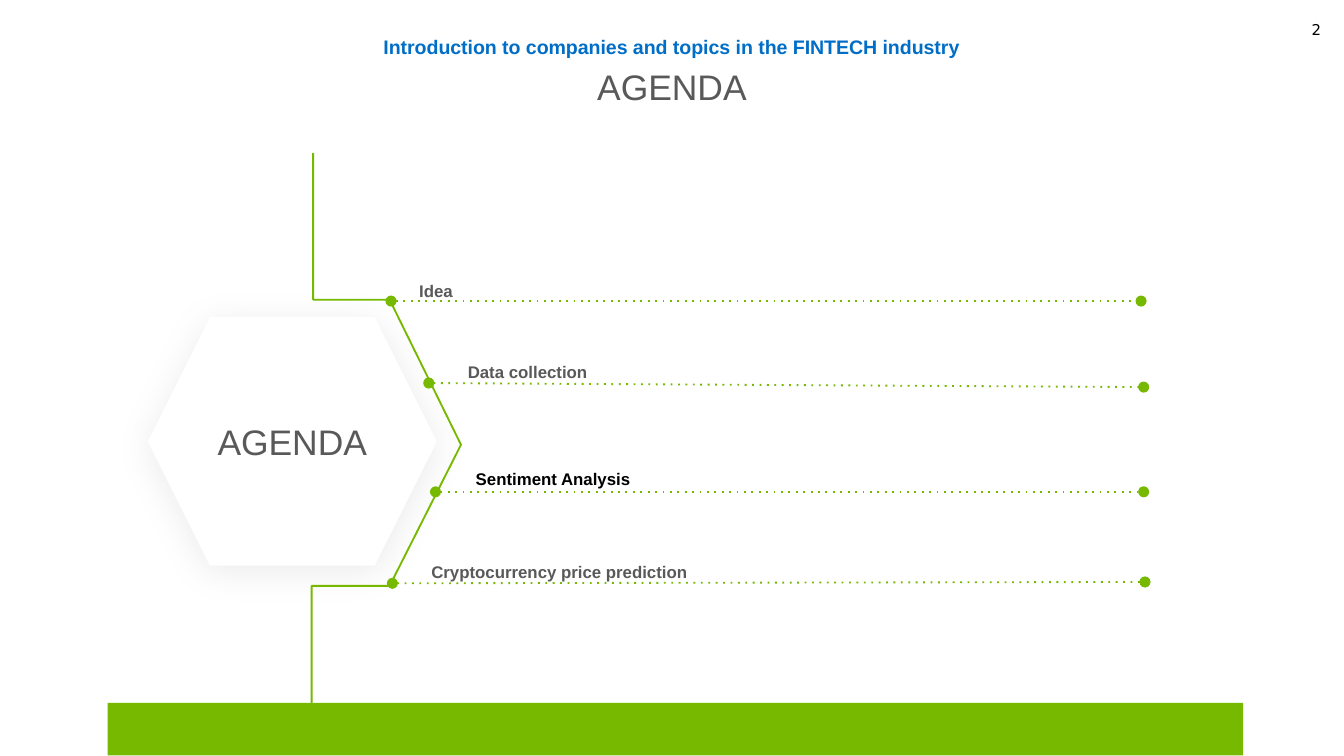
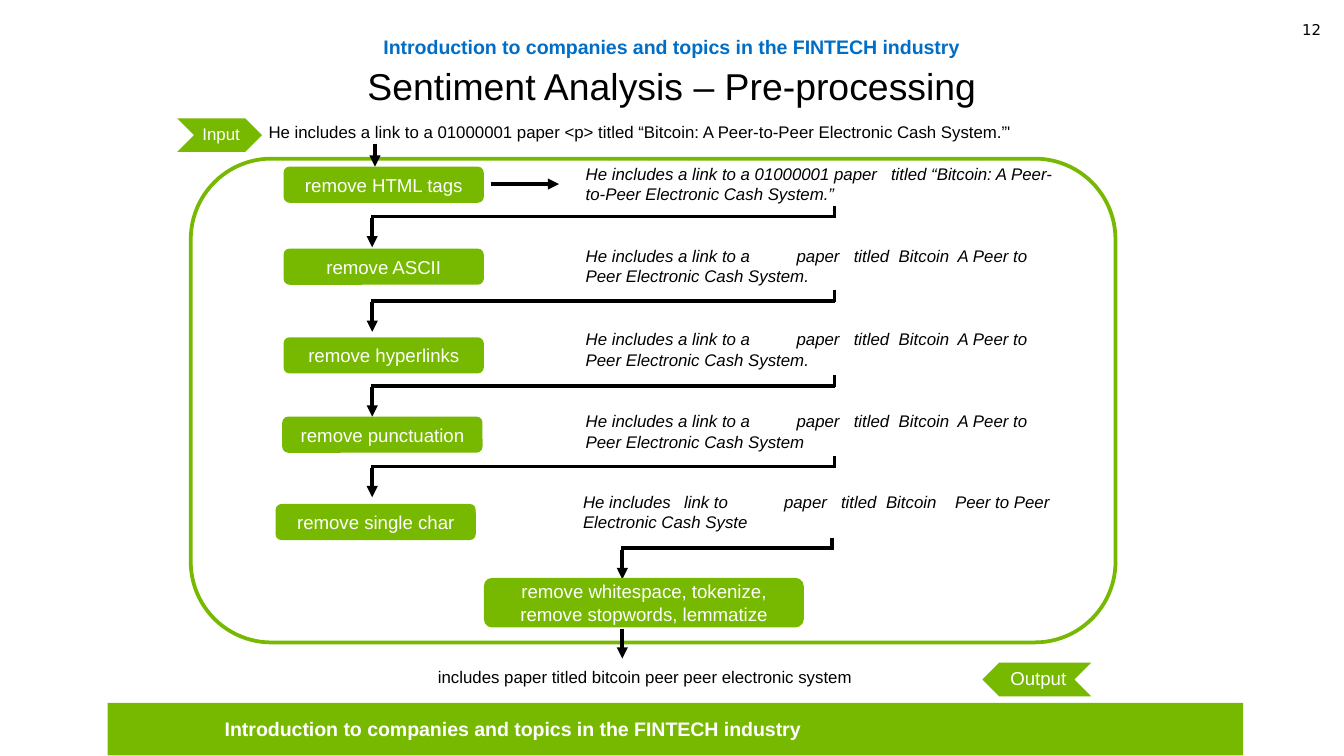
from dataclasses import dataclass

import pptx
import pptx.dml.color
import pptx.enum.shapes
import pptx.enum.text
import pptx.oxml.ns
import pptx.util
from lxml import etree

Pt = pptx.util.Pt
qn = pptx.oxml.ns.qn
KIND = pptx.enum.shapes.MSO_SHAPE
ALIGN = pptx.enum.text.PP_ALIGN
ANCHOR = pptx.enum.text.MSO_ANCHOR
FIT = pptx.enum.text.MSO_AUTO_SIZE


@dataclass(frozen=True)
class Theme:
    """Colours, fonts and type sizes of the deck."""

    green: str = "76B900"
    blue: str = "006EC7"
    grey: str = "595959"
    black: str = "000000"
    white: str = "FFFFFF"
    font: str = "Arial"
    digits: str = "DejaVu Sans"
    title: float = 20
    agenda: float = 19
    header: float = 10.5
    step: float = 10
    body: float = 9
    number: float = 8


T = Theme()
HEADER = "Introduction to companies and topics in the FINTECH industry"
FLAT = (0, 0, 0, 0)
INSET = (7.2, 3.6, 7.2, 3.6)
SNUG = (2.2, 1.4, 0.7, 1.4)

TOPICS = [
    ("Idea", T.grey, (209.5, 161.3, 611.3, 161.3), (224.6, 150.5, 414)),
    ("Data collection", T.grey, (229.7, 205.2, 612.7, 207.4), (250.6, 193.7, 363)),
    ("Sentiment Analysis", T.black, (233.3, 263.5, 612.7, 263.5), (254.9, 251.3, 360)),
    ("Cryptocurrency price prediction", T.grey, (210.2, 312.5, 613.4, 311.8),
     (231.1, 301, 341.3)),
]

CLEAN = "He includes a link to a\tpaper\ttitled\tBitcoin\tA Peer to Peer Electronic Cash System"
STOPS = (113, 143.6, 167.7, 199.3)
STEPS = [
    ("remove HTML tags", (151.9, 89.3),
     "He includes a link to a 01000001 paper\ttitled “Bitcoin: A Peer-to-Peer "
     "Electronic Cash System.”", (306.7, 84.2), (163.6,), (110.2, 447.1, 199.4)),
    ("remove ASCII", (151.9, 133.2), CLEAN + ".", (306.7, 128.2), STOPS,
     (155.5, 447.1, 199.4)),
    ("remove hyperlinks", (151.9, 180.7), CLEAN + ".", (306.7, 172.8), STOPS,
     (200.9, 447.1, 199.4)),
    ("remove punctuation", (151.2, 223.2), CLEAN, (306.7, 216.7), STOPS,
     (244.1, 447.1, 199.4)),
    ("remove single char", (147.6, 270),
     "He includes\tlink to\tpaper\ttitled\tBitcoin\tPeer to Peer Electronic Cash Syste",
     (305.3, 259.9), (54.1, 107.7, 138.2, 162.3, 199.3), (288, 445.7, 333.4)),
]


def rgb(code):
    """Turn a hex code into a colour."""
    return pptx.dml.color.RGBColor.from_string(code)


def write(shape, text, size, color, align=ALIGN.LEFT, bold=False, slant=False,
          font=T.font, inset=FLAT, anchor=ANCHOR.MIDDLE, grow=False, wrap=True,
          space=None, stops=()):
    """Put one formatted paragraph into a shape."""
    frame = shape.text_frame
    frame.word_wrap = wrap
    frame.auto_size = FIT.SHAPE_TO_FIT_TEXT if grow else FIT.NONE
    frame.vertical_anchor = anchor
    (frame.margin_left, frame.margin_top,
     frame.margin_right, frame.margin_bottom) = map(Pt, inset)
    para = frame.paragraphs[0]
    para.alignment = align
    if space:
        para.line_spacing = space
    if stops:
        tabs = etree.SubElement(para._p.get_or_add_pPr(), qn("a:tabLst"))
        for stop in stops:
            etree.SubElement(tabs, qn("a:tab"), pos=str(int(Pt(stop))), algn="l")
    run = para.add_run()
    run.text = text
    run.font.name = font
    run.font.size = Pt(size)
    run.font.bold = bold
    run.font.italic = slant
    run.font.color.rgb = rgb(color)


def label(slide, box, text, size, color, **style):
    """Add a text box."""
    write(slide.shapes.add_textbox(*map(Pt, box)), text, size, color, **style)


def block(slide, kind, box, fill=T.green, edge=None):
    """Add a filled preset shape."""
    shape = slide.shapes.add_shape(kind, *map(Pt, box))
    shape.shadow.inherit = False
    shape.fill.solid()
    shape.fill.fore_color.rgb = rgb(fill)
    if edge:
        shape.line.color.rgb = rgb(edge)
        shape.line.width = Pt(2)
    else:
        shape.line.fill.background()
    return shape


def glow(shape):
    """Give a shape a soft shadow below it."""
    effects = shape.element.spPr.find(qn("a:effectLst"))
    shade = etree.SubElement(effects, qn("a:outerShdw"), blurRad=str(int(Pt(20))),
                             dist=str(int(Pt(3))), dir="5400000", algn="ctr",
                             rotWithShape="0")
    color = etree.SubElement(shade, qn("a:srgbClr"), val=T.black)
    etree.SubElement(color, qn("a:alpha"), val="7000")


def line(slide, ends, color=T.black, width=2, dash=None, head=None, tail=None):
    """Add a straight line with optional dash and ends."""
    link = slide.shapes.add_connector(
        pptx.enum.shapes.MSO_CONNECTOR.STRAIGHT, *map(Pt, ends))
    link.line.color.rgb = rgb(color)
    link.line.width = Pt(width)
    props = link.element.spPr
    stroke = props.find(qn("a:ln"))
    if dash:
        etree.SubElement(stroke, qn("a:prstDash"), val=dash)
    for tag, kind in (("a:headEnd", head), ("a:tailEnd", tail)):
        if kind:
            etree.SubElement(stroke, qn(tag), type=kind)
    etree.SubElement(props, qn("a:effectLst"))


def arrow(slide, *ends):
    """Add a black arrow."""
    line(slide, ends, tail="triangle")


def elbow(slide, top, right, left):
    """Lead from a result down and back to the next step."""
    line(slide, (right, top, right, top + 6.5))
    line(slide, (left - 0.7, top + 5.8, right, top + 5.8))
    arrow(slide, left, top + 6.5, left, top + 22.3)


def trace(slide, points):
    """Draw an open green outline."""
    start, *rest = [tuple(map(Pt, point)) for point in points]
    pen = slide.shapes.build_freeform(*start)
    pen.add_line_segments(rest, close=False)
    shape = pen.convert_to_shape()
    shape.shadow.inherit = False
    shape.fill.background()
    shape.line.color.rgb = rgb(T.green)
    shape.line.width = Pt(1)


def step(slide, box, text):
    """Add a rounded green step."""
    shape = block(slide, KIND.ROUNDED_RECTANGLE, box)
    write(shape, text, T.step, T.white, align=ALIGN.CENTER, inset=INSET)


def tag(slide, box, text, size, turn=0):
    """Add a chevron with its label."""
    block(slide, KIND.CHEVRON, box).rotation = turn
    left, top, width, height = box
    pad = width * 0.195
    label(slide, (left + pad, top, width - 2 * pad, height), text, size, T.white,
          align=ALIGN.CENTER, inset=SNUG, space=0.9)


def start(deck, text, size, color, box):
    """Add a slide with its title."""
    slide = deck.slides.add_slide(deck.slide_layouts[5])
    title = slide.shapes.title
    title.left, title.top, title.width, title.height = map(Pt, box)
    write(title, text, size, color, align=ALIGN.CENTER, grow=True, wrap=False)
    return slide


def frame(slide, number):
    """Add the band, page number and header."""
    block(slide, KIND.RECTANGLE, (57.6, 376.6, 608.4, 28.1))
    label(slide, (660.2, 5, 54.7, 21.6), number, T.number, T.black,
          align=ALIGN.RIGHT, font=T.digits, inset=INSET)
    label(slide, (180, 18.7, 360, 13), HEADER, T.header, T.blue,
          align=ALIGN.CENTER, bold=True, grow=True)


def agenda(deck):
    """Build the agenda slide."""
    slide = start(deck, "AGENDA", T.agenda, T.grey, (319.3, 34.6, 81.4, 23))
    block(slide, KIND.HEXAGON, (67.7, 159.8, 177.8, 153.4), T.white)
    badge = block(slide, KIND.HEXAGON, (79.2, 169.9, 154.8, 133.2), T.white)
    glow(badge)
    write(badge, "AGENDA", T.agenda, T.grey, align=ALIGN.CENTER, inset=INSET)
    trace(slide, [(167.8, 82.1), (167.8, 160.6), (208.8, 160.6), (247, 238.3),
                  (208.8, 313.9), (167, 313.9), (167, 391.7)])
    for text, color, ends, place in TOPICS:
        line(slide, ends, T.green, 1, "dot", "oval", "oval")
        label(slide, (*place, 10.8), text, T.body, color, bold=True, grow=True)
    frame(slide, "2")


def process(deck):
    """Build the text cleaning slide."""
    slide = start(deck, "Sentiment Analysis – Pre-processing", T.title, T.black,
                  (195.1, 33.8, 329.8, 24.5))
    frame(slide, "12")
    label(slide, (95, 383.8, 360, 13), HEADER, T.header, T.white,
          align=ALIGN.CENTER, bold=True)
    block(slide, KIND.ROUNDED_RECTANGLE, (102.2, 85, 495.4, 259.2), T.white, T.green)
    plain = dict(inset=INSET, anchor=ANCHOR.TOP, grow=True)
    label(slide, (136.8, 61.9, 479.5, 18),
          "He includes a link to a 01000001 paper <p> titled “Bitcoin: A Peer-to-Peer "
          "Electronic Cash System.”'", T.body, T.black, **plain)
    arrow(slide, 200.9, 77, 200.9, 89.3)
    arrow(slide, 262.8, 98.6, 299.5, 98.6)
    for text, place, note, spot, stops, bend in STEPS:
        step(slide, (*place, 107.3, 19.4), text)
        label(slide, (*spot, 264.2, 28.8), note, T.body, T.black, slant=True,
              stops=stops, **plain)
        elbow(slide, *bend)
    step(slide, (259.2, 309.6, 171.4, 26.6),
         "remove whitespace, tokenize, remove stopwords, lemmatize")
    arrow(slide, 333.4, 337, 333.4, 352.8)
    label(slide, (227.5, 353.5, 325.4, 18),
          "includes paper titled bitcoin peer peer electronic system",
          T.body, T.black, **plain)
    tag(slide, (95, 63.4, 45.4, 18), "Input", T.body)
    tag(slide, (526.3, 355, 58.3, 18), "Output", T.step, 180)


def main():
    """Build and save the deck."""
    deck = pptx.Presentation()
    deck.slide_width, deck.slide_height = Pt(720), Pt(405)
    agenda(deck)
    process(deck)
    deck.save("out.pptx")


if __name__ == "__main__":
    main()
